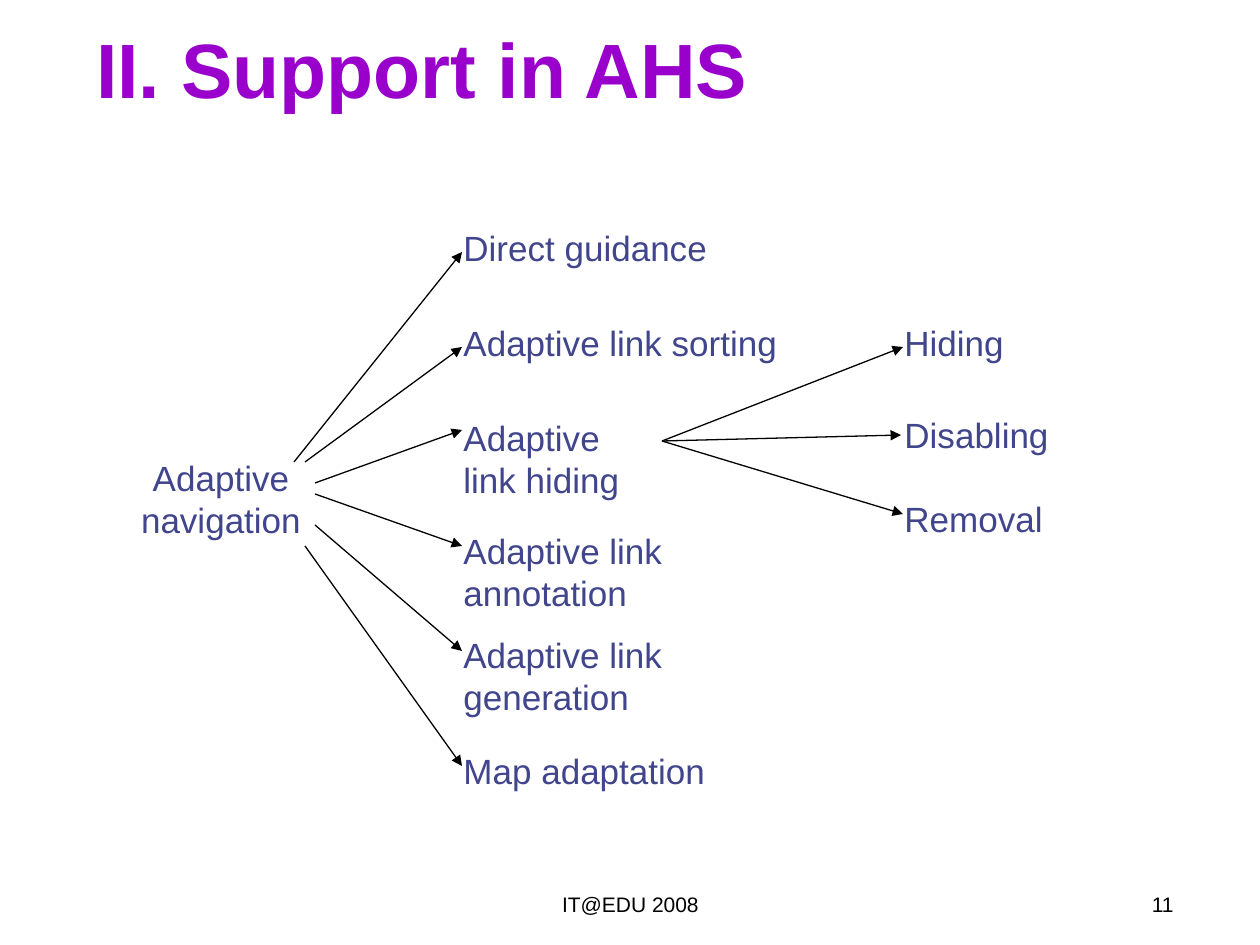
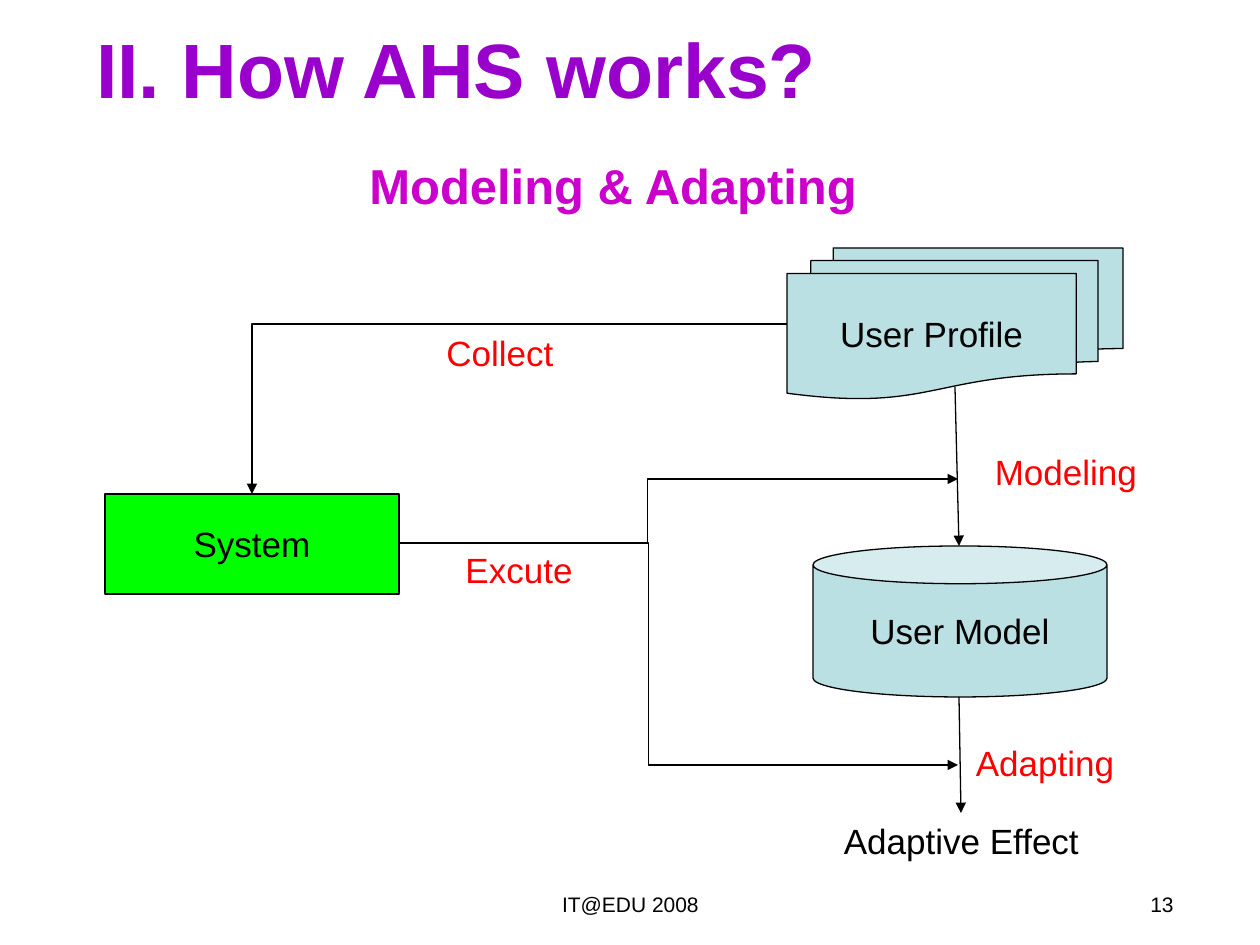
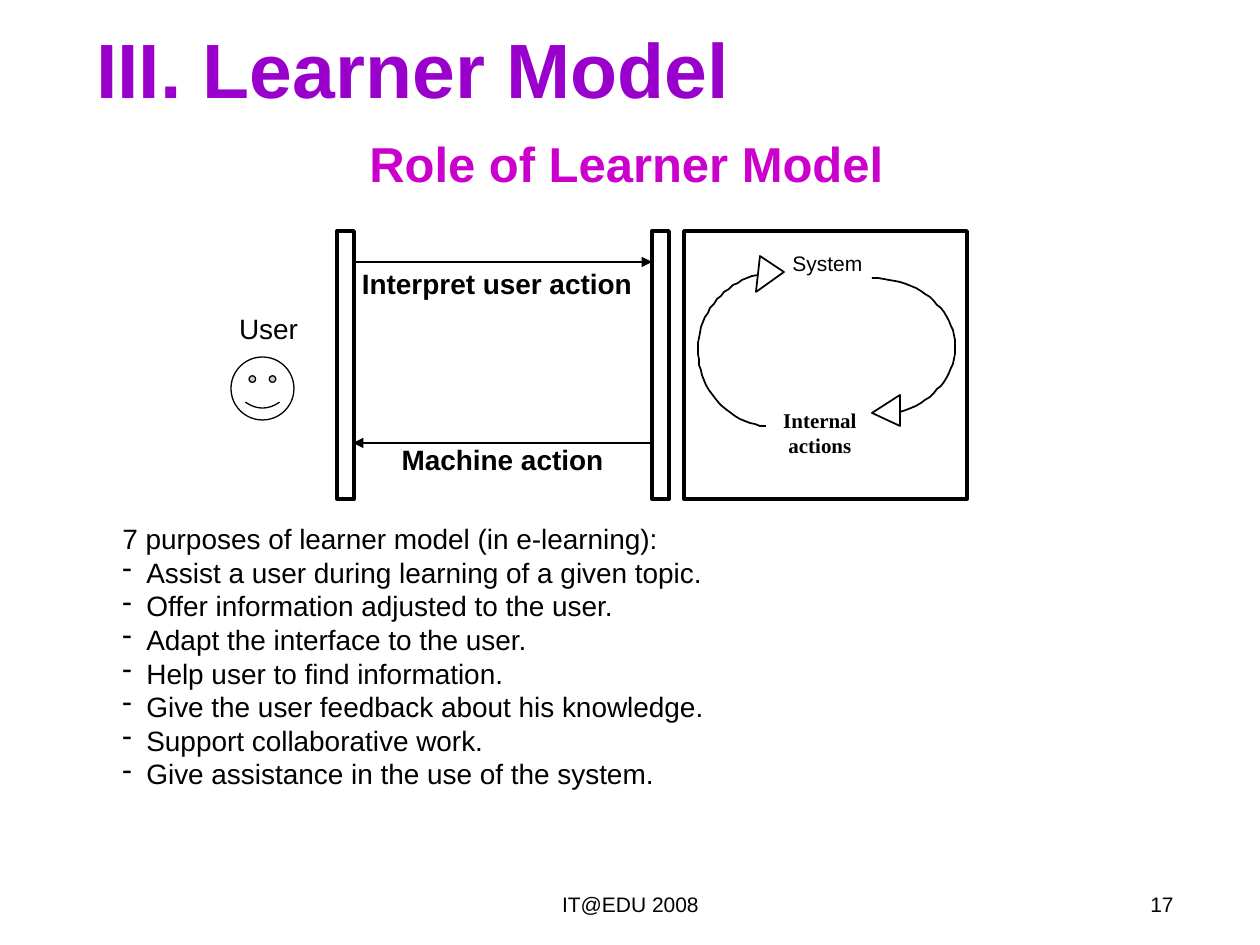
from math import cos, radians, sin

from lxml import etree
from pptx import Presentation
from pptx.dml.color import RGBColor
from pptx.enum.shapes import MSO_CONNECTOR, MSO_SHAPE
from pptx.enum.text import MSO_ANCHOR, PP_ALIGN
from pptx.oxml.ns import qn
from pptx.util import Pt

PX = 914400 / 126
BLACK = RGBColor(0, 0, 0)
WHITE = RGBColor(255, 255, 255)
PURPLE = RGBColor(0x99, 0x00, 0xCC)
PINK = RGBColor(0xCC, 0x00, 0xCC)
NAVY = RGBColor(0x40, 0x45, 0x8C)
RED = RGBColor(255, 0, 0)
GREEN = RGBColor(0, 255, 0)
AQUA = RGBColor(0xBB, 0xE0, 0xE3)
LEFT, CENTER, RIGHT = PP_ALIGN.LEFT, PP_ALIGN.CENTER, PP_ALIGN.RIGHT
TOP, MIDDLE = MSO_ANCHOR.TOP, MSO_ANCHOR.MIDDLE
STRAIGHT, ELBOW = MSO_CONNECTOR.STRAIGHT, MSO_CONNECTOR.ELBOW
RECT, CAN = MSO_SHAPE.RECTANGLE, MSO_SHAPE.CAN
FACE, PAPERS = MSO_SHAPE.SMILEY_FACE, MSO_SHAPE.FLOWCHART_MULTIDOCUMENT


def put(slide, box, text="", size=20, hue=BLACK, align=CENTER, bold=False,
        font="Arial", anchor=TOP, kind=None, fill=WHITE, width=0.75):
    area = [round(side * PX) for side in box]
    if kind is None:
        shape = slide.shapes.add_textbox(*area)
    else:
        shape = slide.shapes.add_shape(kind, *area)
        shape.shadow.inherit = False
        shape.fill.solid()
        shape.fill.fore_color.rgb = fill
        shape.line.color.rgb = BLACK
        shape.line.width = Pt(width)
        anchor = MIDDLE
    frame = shape.text_frame
    frame.word_wrap = True
    frame.vertical_anchor = anchor
    frame.text = text
    for para in frame.paragraphs:
        para.alignment = align
        for run in para.runs:
            run.font.size = Pt(size)
            run.font.name = font
            run.font.bold = bold
            run.font.color.rgb = hue
    return shape


def link(slide, start, end, width=0.75, kind=STRAIGHT):
    ends = [round(side * PX) for side in (*start, *end)]
    line = slide.shapes.add_connector(kind, *ends)
    line.line.color.rgb = BLACK
    line.line.width = Pt(width)
    props = line._element.spPr
    etree.SubElement(props.find(qn("a:ln")), qn("a:tailEnd"), type="triangle")
    etree.SubElement(props, qn("a:effectLst"))
    return props.find(qn("a:prstGeom"))


deck = Presentation()
deck.slide_width = round(1260 * PX)
deck.slide_height = round(945 * PX)

pages = []
for title, number in [("II. Support in AHS", "11"), ("II. How AHS works?", "13"),
                      ("III. Learner Model", "17")]:
    page = deck.slides.add_slide(deck.slide_layouts[6])
    put(page, (84, 10, 1124, 116), title, 44, PURPLE, LEFT, True, anchor=MIDDLE)
    put(page, (431, 885, 399, 66), "IT@EDU 2008", 12)
    put(page, (892, 885, 294, 66), number, 12, align=RIGHT)
    pages.append(page)
support, works, learner = pages

put(support, (116, 450, 210, 97), "Adaptive navigation", hue=NAVY)
for left, top, width, text in [
    (451, 220, 284, "Direct guidance"),
    (451, 315, 346, "Adaptive link sorting"),
    (451, 410, 220, "Adaptive link hiding"),
    (451, 523, 284, "Adaptive link annotation"),
    (451, 627, 305, "Adaptive link generation"),
    (451, 743, 346, "Map adaptation"),
    (892, 315, 147, "Hiding"),
    (892, 407, 220, "Disabling"),
    (892, 491, 189, "Removal"),
]:
    put(support, (left, top, width, 55), text, hue=NAVY, align=LEFT)
for start, end in [
    ((294, 462), (462, 252)),
    ((305, 462), (462, 347)),
    ((315, 483), (462, 430)),
    ((315, 494), (462, 546)),
    ((315, 525), (462, 651)),
    ((305, 546), (462, 766)),
    ((662, 441), (903, 347)),
    ((662, 441), (901, 435)),
    ((662, 441), (903, 514)),
]:
    link(support, start, end)

put(works, (357, 149, 536, 72), "Modeling & Adapting", 28, PINK, LEFT, True)
for box, text, kind, fill in [
    ((787, 248, 336, 151), "User Profile", PAPERS, AQUA),
    ((813, 546, 294, 151), "User Model", CAN, AQUA),
    ((105, 494, 294, 100), "System", RECT, GREEN),
]:
    put(works, box, text, kind=kind, fill=fill)
for left, top, width, text, hue in [
    (683, 813, 557, "Adaptive Effect", BLACK),
    (401, 325, 198, "Collect", RED),
    (420, 542, 198, "Excute", RED),
    (935, 444, 262, "Modeling", RED),
    (914, 735, 262, "Adapting", RED),
]:
    put(works, (left, top, width, 55), text, hue=hue)
link(works, (955, 387), (959, 546))
link(works, (959, 697), (961, 813))
for top, bend in [(479, 44400), (765, 44700)]:
    shape = link(works, (399, 543), (958, top), kind=ELBOW)
    guides = shape.get_or_add_avLst()
    etree.SubElement(guides, qn("a:gd"), name="adj1", fmla=f"val {bend}")
link(works, (787, 324), (252, 494), kind=ELBOW).set("prst", "bentConnector2")

put(learner, (357, 127, 557, 72), "Role of Learner Model", 28, PINK, LEFT, True)
put(learner, (231, 357, 63, 63), kind=FACE)
for left, width in [(337, 17), (652, 17), (684, 283)]:
    put(learner, (left, 231, width, 268), kind=RECT, width=2.25)
link(learner, (353, 262), (652, 262), 1)
link(learner, (652, 443), (353, 443), 1)
for mid, radii, first, last, head in [
    ((872, 347), (83, 69), -90, 70, [(872, 413), (900, 395), (900, 426)]),
    ((775, 350), (77, 77), 97, 257, [(784, 272), (760, 256), (756, 292)]),
]:
    curve = [(mid[0] + radii[0] * cos(radians(turn)), mid[1] + radii[1] * sin(radians(turn)))
             for turn in range(first, last + 1, 4)]
    path = learner.shapes.build_freeform(*curve[0], scale=PX)
    path.add_line_segments(curve[1:], close=False)
    path.move_to(*head[0])
    path.add_line_segments(head[1:], close=True)
    arrow = path.convert_to_shape()
    arrow.shadow.inherit = False
    arrow.fill.solid()
    arrow.fill.fore_color.rgb = WHITE
    arrow.line.color.rgb = BLACK
    arrow.line.width = Pt(1)
for box, text, size, bold, font in [
    ((347, 260, 300, 63), "Interpret user action", 16, True, "Arial"),
    ((353, 436, 299, 89), "Machine action", 16, True, "Arial"),
    ((221, 305, 95, 47), "User", 16, False, "Arial"),
    ((770, 244, 115, 38), "System", 12, False, "Arial"),
    ((757, 401, 126, 64), "Internal actions", 12, True, "Times New Roman"),
]:
    put(learner, box, text, size, bold=bold, font=font)
goals = [
    "7 purposes of learner model (in e-learning):",
    "Assist a user during learning of a given topic.",
    "Offer information adjusted to the user.",
    "Adapt the interface to the user.",
    "Help user to ﬁnd information.",
    "Give the user feedback about his knowledge.",
    "Support collaborative work.",
    "Give assistance in the use of the system.",
]
notes = put(learner, (110, 515, 941, 282), "\n".join(goals), 16, align=LEFT, anchor=MIDDLE)
for para in notes.text_frame.paragraphs[1:]:
    props = para._p.get_or_add_pPr()
    props.set("marL", str(round(24 * PX)))
    props.set("indent", str(round(-24 * PX)))
    etree.SubElement(props, qn("a:buChar"), char="-")

deck.save("out.pptx")
